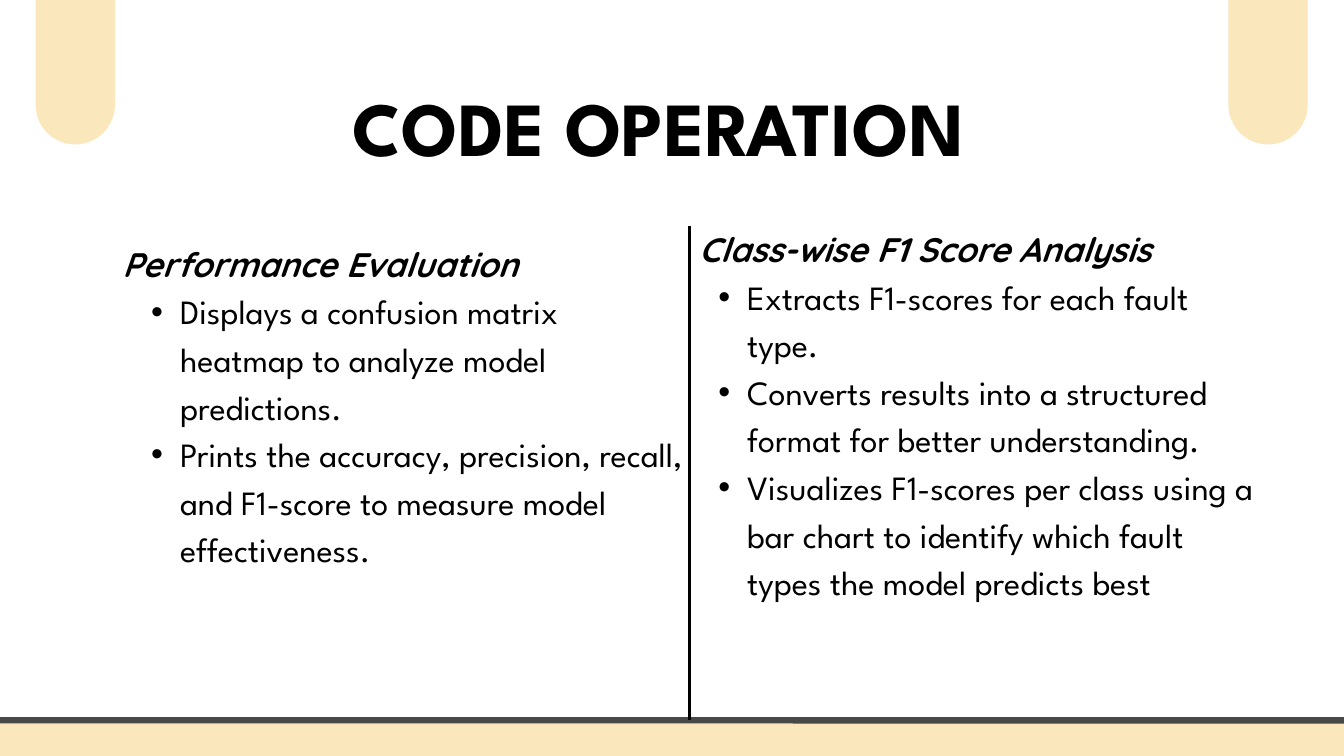
"""Build the Code Operation slide with two bulleted columns."""
import pptx
import pptx.dml.color
import pptx.enum.shapes
import pptx.enum.text
import pptx.oxml.ns
import pptx.util
from lxml import etree

Inches = pptx.util.Inches
Pt = pptx.util.Pt
qn = pptx.oxml.ns.qn
RGBColor = pptx.dml.color.RGBColor

COLORS = {"background": "FFFFFF", "text": "000000", "cream": "FAE7BC", "edge": "494848"}


def add_text(text_frame, text, font="League Spartan", size=36.4, bold=False,
             italic=False, bullet=False, spacing=51, align="LEFT"):
    paragraph = text_frame.paragraphs[0]
    if paragraph.runs:
        paragraph = text_frame.add_paragraph()
    paragraph.alignment = getattr(pptx.enum.text.PP_ALIGN, align)
    paragraph.line_spacing = Pt(spacing)
    paragraph.space_before = paragraph.space_after = Pt(0)
    paragraph.level = 1 if bullet else 0
    properties = paragraph._p.get_or_add_pPr()
    properties.set("marL", str(Inches(0.86) if bullet else 0))
    properties.set("indent", str(Inches(-0.43) if bullet else 0))
    if bullet:
        etree.SubElement(properties, qn("a:buChar")).set("char", "•")
    else:
        etree.SubElement(properties, qn("a:buNone"))
    run = paragraph.add_run()
    run.text = text
    run.font.name = font
    run.font.size = Pt(size)
    run.font.bold = bold
    run.font.italic = italic
    run.font.color.rgb = RGBColor.from_string(COLORS["text"])


def place_frame(placeholder, left, top, width, height):
    placeholder.left, placeholder.top = Inches(left), Inches(top)
    placeholder.width, placeholder.height = Inches(width), Inches(height)
    text_frame = placeholder.text_frame
    text_frame.margin_left = text_frame.margin_right = 0
    text_frame.margin_top = text_frame.margin_bottom = 0
    text_frame.word_wrap = True
    text_frame.auto_size = pptx.enum.text.MSO_AUTO_SIZE.NONE
    text_frame.vertical_anchor = pptx.enum.text.MSO_ANCHOR.TOP
    return text_frame


presentation = pptx.Presentation()
presentation.slide_width = Inches(20)
presentation.slide_height = Inches(11.25)
slide = presentation.slides.add_slide(presentation.slide_layouts.get_by_name("Two Content"))
slide.background.fill.solid()
slide.background.fill.fore_color.rgb = RGBColor.from_string(COLORS["background"])

title, left_body, right_body = slide.placeholders
title_frame = place_frame(title, 4.18, 0.96, 11.24, 1.53)
add_text(title_frame, "CODE OPERATION", size=81.9, bold=True, spacing=114.7, align="CENTER")

columns = [
    (left_body, (1.82, 3.52, 8.44, 5.56), "Performance Evaluation", [
        "Displays a confusion matrix heatmap to analyze model predictions.",
        "Prints the accuracy, precision, recall, and F1-score to measure model effectiveness.",
    ]),
    (right_body, (10.26, 3.3, 8.44, 7.65), " Class-wise F1 Score Analysis", [
        "Extracts F1-scores for each fault type.",
        "Converts results into a structured format for better understanding.",
        "Visualizes F1-scores per class using a bar chart to identify which fault types "
        "the model predicts best",
    ]),
]
for body, box, heading, points in columns:
    body_frame = place_frame(body, *box)
    add_text(body_frame, heading, font="Quicksand", bold=True, italic=True)
    for point in points:
        add_text(body_frame, point, bullet=True)

decorations = [
    ((18.28, -1.08, 1.18, 3.23), 0.5, None),
    ((-0.58, 10.72, 21.16, 0.9), 0.1, "edge"),
    ((0.53, -1.08, 1.18, 3.23), 0.5, None),
]
for box, rounding, outline in decorations:
    shape = slide.shapes.add_shape(
        pptx.enum.shapes.MSO_SHAPE.ROUNDED_RECTANGLE, *map(Inches, box))
    shape.adjustments[0] = rounding
    shape.shadow.inherit = False
    shape.fill.solid()
    shape.fill.fore_color.rgb = RGBColor.from_string(COLORS["cream"])
    if outline:
        shape.line.color.rgb = RGBColor.from_string(COLORS[outline])
        shape.line.width = Pt(6.75)
    else:
        shape.line.fill.background()

divider = slide.shapes.add_connector(
    pptx.enum.shapes.MSO_CONNECTOR.STRAIGHT,
    Inches(10.26), Inches(10.72), Inches(10.26), Inches(3.37))
divider.line.color.rgb = RGBColor.from_string(COLORS["text"])
divider.line.width = Pt(3)
etree.SubElement(divider._element.spPr, qn("a:effectLst"))

presentation.save("out.pptx")
